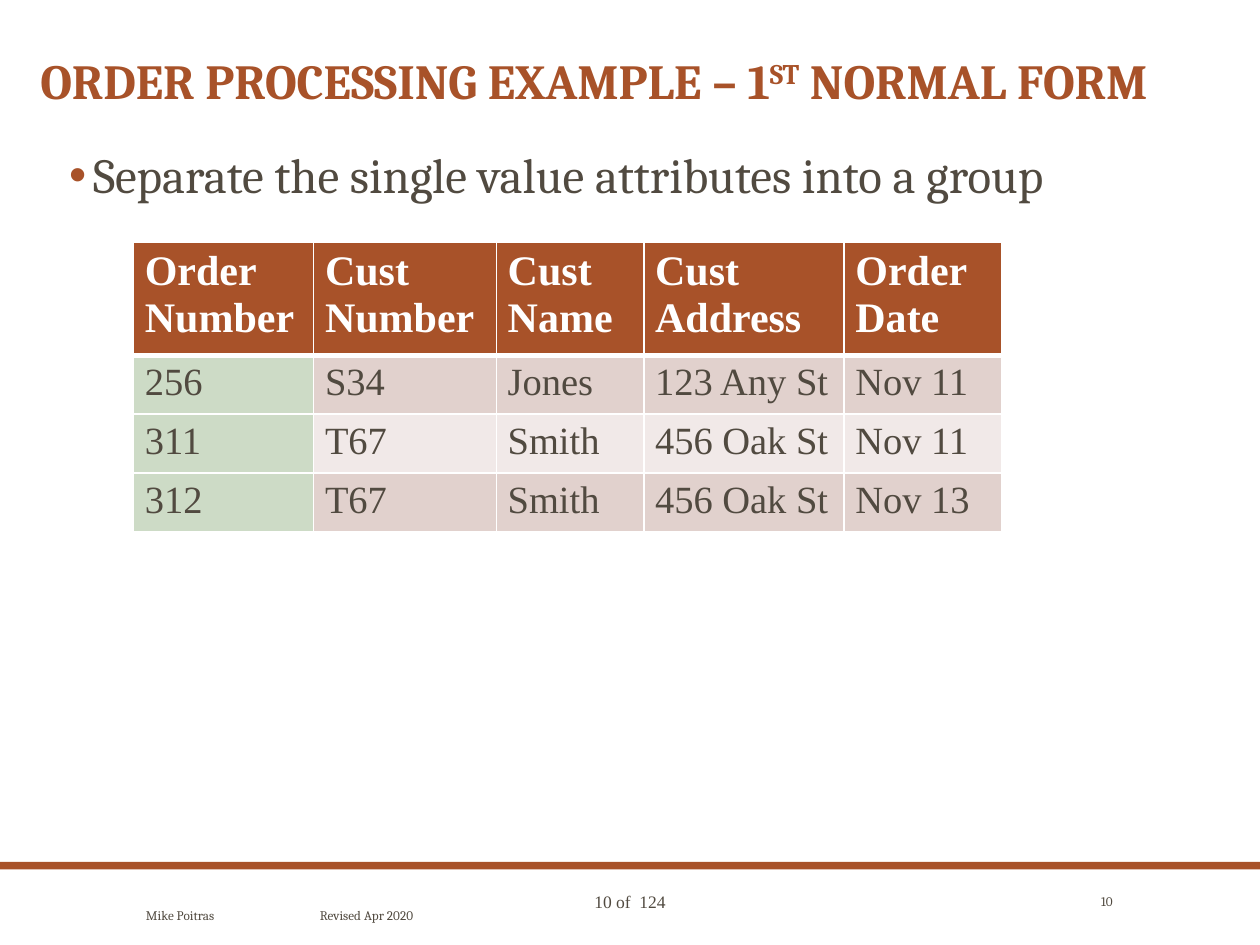
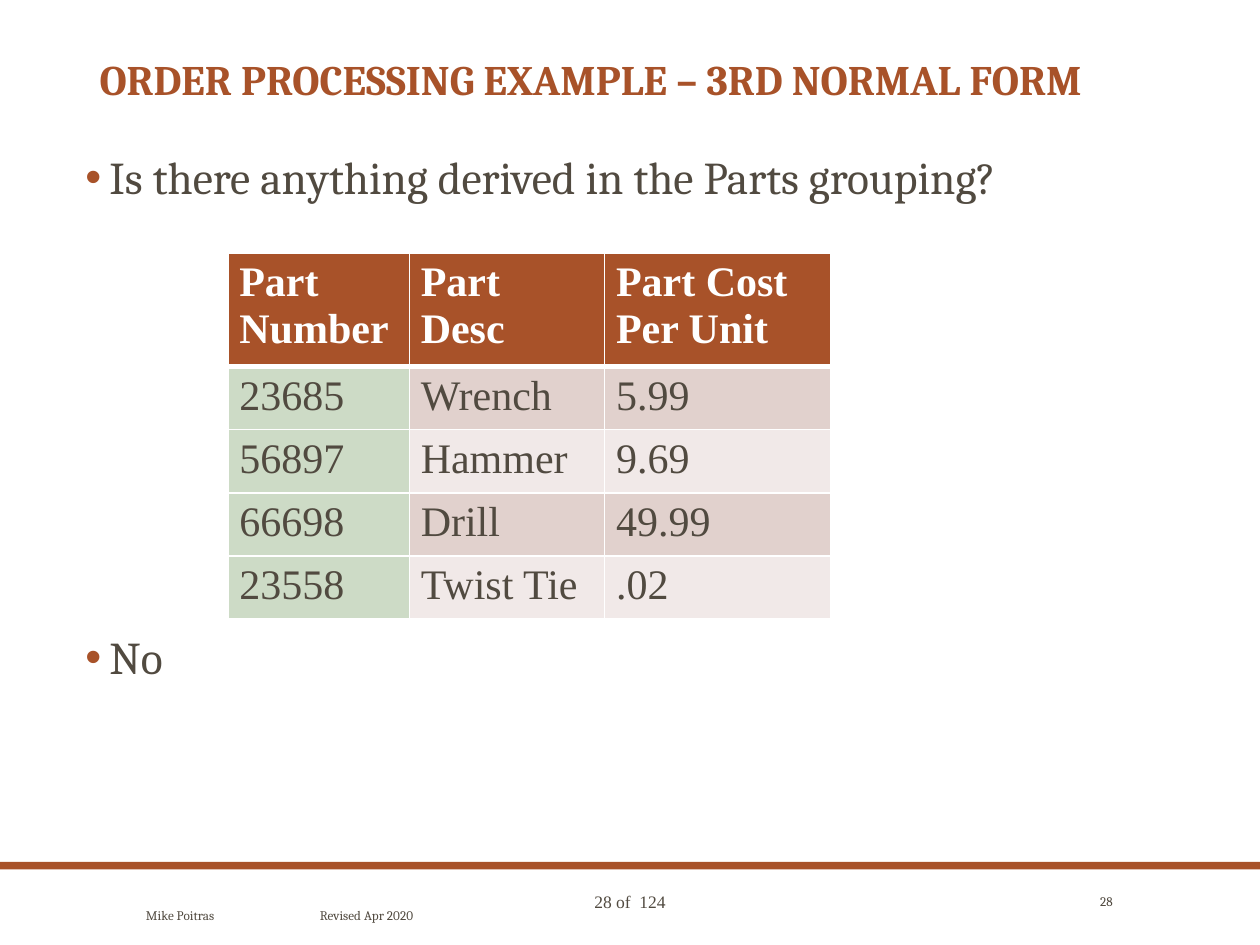
import lxml.etree
import pptx
import pptx.dml.color
import pptx.enum.shapes
import pptx.enum.text
import pptx.oxml.ns
import pptx.util

RGBColor = pptx.dml.color.RGBColor
RUST = RGBColor(0xA8, 0x52, 0x29)
INK = RGBColor(0x51, 0x4A, 0x40)
WHITE = RGBColor(0xFF, 0xFF, 0xFF)
KEY_GREEN = RGBColor(0xCD, 0xDB, 0xC6)
BANDS = (RGBColor(0xE1, 0xD1, 0xCD), RGBColor(0xF1, 0xE9, 0xE8))

SERIF = "Cambria"
TABLE_FONT = "Times New Roman"
GRID_COLS, GRID_ROWS = 100, 75
LAST_PAGE = 124
ALIGN = pptx.enum.text.PP_ALIGN
ANCHOR = pptx.enum.text.MSO_ANCHOR


def add_xml(parent, tag, **attrs):
    return lxml.etree.SubElement(parent, pptx.oxml.ns.qn(tag), attrs)


class Deck:
    def __init__(self):
        self.prs = pptx.Presentation()
        self.prs.slide_width = pptx.util.Inches(10)
        self.prs.slide_height = pptx.util.Inches(7.5)
        self.s = None

    def x(self, cols):
        return round(self.prs.slide_width * cols / GRID_COLS)

    def y(self, rows):
        return round(self.prs.slide_height * rows / GRID_ROWS)

    def box(self, left, top, width, height):
        return self.x(left), self.y(top), self.x(width), self.y(height)

    def style(self, p, size, color, name=SERIF, bold=False):
        for r in p.runs:
            r.font.size = pptx.util.Pt(size)
            r.font.name = name
            r.font.bold = bold
            r.font.color.rgb = color

    def slide(self, page):
        self.s = self.prs.slides.add_slide(self.prs.slide_layouts[5])
        self.band()
        self.text(f"{page} of  {LAST_PAGE}", (35.2, 70.2, 29.6, 2.7), 10,
                  TABLE_FONT, ALIGN.CENTER)
        footer = self.text("Mike Poitras\tRevised Apr 2020",
                           (10.6, 70.2, 70, 4.8), 7.5, anchor=ANCHOR.MIDDLE)
        tabs = add_xml(footer._p.get_or_add_pPr(), "a:tabLst")
        add_xml(tabs, "a:tab", pos=str(self.x(13.8)), algn="l")
        self.text(str(page), (83.6, 70.2, 5.7, 2.6), 7.5,
                  align=ALIGN.RIGHT, anchor=ANCHOR.MIDDLE)

    def band(self):
        sp = self.s.shapes.add_shape(pptx.enum.shapes.MSO_SHAPE.RECTANGLE,
                                     *self.box(0, 68.4, GRID_COLS, 0.6))
        sp.shadow.inherit = False
        sp.fill.solid()
        sp.fill.fore_color.rgb = RUST
        sp.line.fill.background()

    def text(self, words, at, size, name=SERIF, align=ALIGN.LEFT, anchor=ANCHOR.TOP):
        tf = self.s.shapes.add_textbox(*self.box(*at)).text_frame
        tf.word_wrap = True
        tf.vertical_anchor = anchor
        p = tf.paragraphs[0]
        p.text = words
        p.alignment = align
        self.style(p, size, INK, name)
        return p

    def title(self, parts, at, size):
        sp = self.s.shapes.title
        sp.left, sp.top, sp.width, sp.height = self.box(*at)
        tf = sp.text_frame
        tf.word_wrap = True
        tf.auto_size = pptx.enum.text.MSO_AUTO_SIZE.NONE
        tf.vertical_anchor = ANCHOR.TOP
        p = tf.paragraphs[0]
        p.alignment = ALIGN.LEFT
        p.line_spacing = 0.9
        for i, part in enumerate(parts):
            r = p.add_run()
            r.text = part
            if i % 2:
                r._r.get_or_add_rPr().set("baseline", "30000")
        self.style(p, size, RUST, bold=True)

    def bullet(self, words, at, size):
        p = self.text(words, at, size)
        p.line_spacing = 0.9
        p.space_after = pptx.util.Pt(12)
        pPr = p._p.get_or_add_pPr()
        pPr.set("marL", str(self.x(2.3)))
        pPr.set("indent", str(-self.x(1.9)))
        add_xml(add_xml(pPr, "a:buClr"), "a:srgbClr", val=str(RUST))
        add_xml(pPr, "a:buFont", typeface="Arial")
        add_xml(pPr, "a:buChar", char="•")

    def borders(self, cell, top, bottom):
        tcPr = cell._tc.get_or_add_tcPr()
        for i, (side, points) in enumerate(zip("LRTB", (1, 1, top, bottom))):
            ln = add_xml(tcPr, f"a:ln{side}", w=str(pptx.util.Pt(points)))
            add_xml(add_xml(ln, "a:solidFill"), "a:srgbClr", val=str(WHITE))
            tcPr.insert(i, ln)

    def table(self, rows, left, top, widths, row_height, size):
        heights = [8.3] + [row_height] * (len(rows) - 1)
        at = self.box(left, top, sum(widths), sum(heights))
        tbl = self.s.shapes.add_table(len(rows), len(widths), *at).table
        for column, width in zip(tbl.columns, widths):
            column.width = self.x(width)
        for i, (row, height) in enumerate(zip(rows, heights)):
            tbl.rows[i].height = self.y(height)
            for j, words in enumerate(row):
                self.cell(tbl.cell(i, j), words, i, j, size)

    def cell(self, cell, words, i, j, size):
        header = i == 0
        cell.text = words
        cell.margin_left = cell.margin_right = self.x(0.9)
        cell.margin_top = cell.margin_bottom = self.y(0.5)
        cell.fill.solid()
        body_fill = KEY_GREEN if j == 0 else BANDS[(i - 1) % 2]
        cell.fill.fore_color.rgb = RUST if header else body_fill
        self.borders(cell, 3 if i == 1 else 1, 3 if header else 1)
        for p in cell.text_frame.paragraphs:
            self.style(p, 24 if header else size, WHITE if header else INK,
                       TABLE_FONT, header)


ORDERS = [
    ("Order\nNumber", "Cust Number", "Cust Name", "Cust\nAddress", "Order Date"),
    ("256", "S34", "Jones", "123 Any St", "Nov 11"),
    ("311", "T67", "Smith", "456 Oak St", "Nov 11"),
    ("312", "T67", "Smith", "456 Oak St", "Nov 13"),
]
PARTS = [
    ("Part Number", "Part Desc", "Part Cost Per Unit"),
    ("23685", "Wrench", "5.99"),
    ("56897", "Hammer", "9.69"),
    ("66698", "Drill", "49.99"),
    ("23558", "Twist Tie", ".02"),
]


def main():
    deck = Deck()

    deck.slide(10)
    deck.title(["ORDER PROCESSING EXAMPLE – 1", "ST", " NORMAL FORM"],
               (2.2, 4, 96.5, 5.5), 28)
    deck.bullet("Separate the single value attributes into a group",
                (4.1, 11.5, 86.2, 7), 28)
    deck.table(ORDERS, 10.6, 19.2, (14.3, 14.5, 11.7, 15.9, 12.5), 4.4, 22)

    deck.slide(28)
    deck.title(["ORDER PROCESSING EXAMPLE – 3RD NORMAL FORM"],
               (6.9, 4.2, 86.2, 5.5), 24)
    deck.bullet("Is there anything derived in the Parts grouping?",
                (5.4, 11.8, 89.3, 7), 26)
    deck.table(PARTS, 18.1, 20.1, (14.4, 15.5, 17.9), 4.7, 24)
    deck.bullet("No", (5.4, 49.9, 89.3, 7), 26)

    deck.prs.save("out.pptx")


if __name__ == "__main__":
    main()
